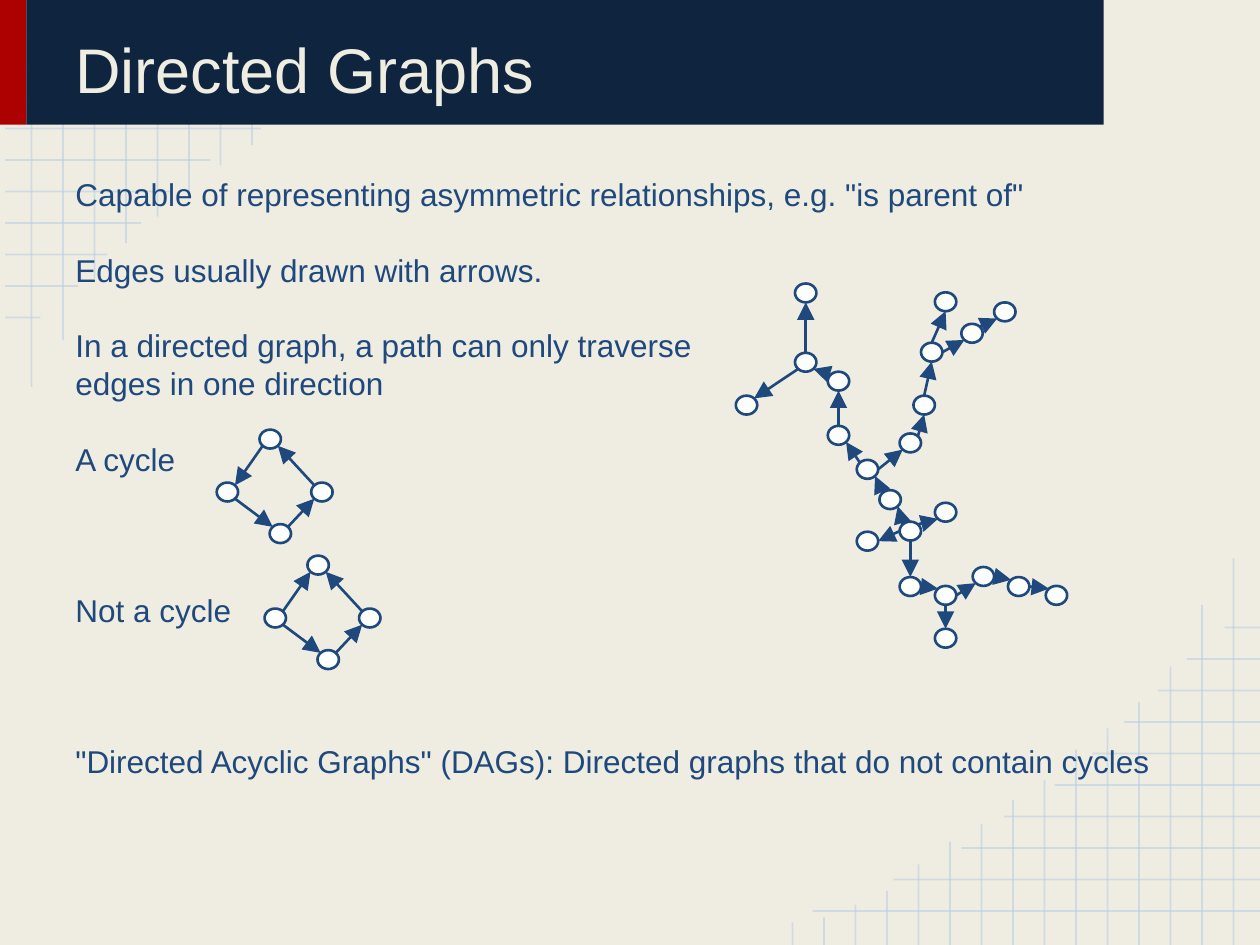
from lxml import etree
from pptx import Presentation
from pptx.dml.color import RGBColor
from pptx.enum import shapes, text
from pptx.oxml.ns import qn
from pptx.util import Inches, Pt

CREAM = RGBColor(0xEF, 0xED, 0xE2)
RED = RGBColor(0xAB, 0x01, 0x01)
NAVY = RGBColor(0x0F, 0x24, 0x3E)
BLUE = RGBColor(0x1F, 0x49, 0x7D)
PALE_BLUE = RGBColor(0xB7, 0xCC, 0xE4)
WHITE = RGBColor(0xFD, 0xFF, 0xFF)

TITLE = "Directed Graphs"
LINE_PITCH = 21.6
# (empty lines above, text)
BODY = [
    (0, 'Capable of representing asymmetric relationships, e.g. "is parent of"'),
    (1, "Edges usually drawn with arrows."),
    (1, "In a directed graph, a path can only traverse"),
    (0, "edges in one direction"),
    (1, "A cycle"),
    (3, "Not a cycle"),
    (3, '"Directed Acyclic Graphs" (DAGs): Directed graphs that do not contain cycles'),
]

# Corner grid: far ends of the lines, which are spaced by GRID_STEP
GRID_STEP = 0.25
ROW_ENDS = [3.59, 2.95, 2.41, 2.07, 1.67, 1.37, 1.12, 0.85, 0.62, 0.32]
COLUMN_ENDS = [3.07, 2.7, 2.21, 1.93, 1.72, 1.55, 1.31, 1.15,
               0.96, 0.82, 0.64, 0.43, 0.32, 0.22, 0.18]

# Node name: left, top
TREE = {
    "a": (6.31, 2.8), "b": (5.84, 3.14), "c": (6.31, 2.25), "d": (6.57, 2.95),
    "e": (6.57, 3.38), "f": (6.8, 3.65), "g": (7.14, 3.44), "h": (7.25, 3.14),
    "i": (7.31, 2.72), "j": (7.63, 2.57), "k": (7.89, 2.4), "l": (7.42, 2.32),
    "m": (6.98, 3.89), "n": (7.14, 4.14), "o": (7.42, 3.99), "p": (6.8, 4.22),
    "q": (7.14, 4.58), "r": (7.42, 4.65), "s": (7.72, 4.5), "t": (8, 4.58),
    "u": (8.3, 4.65), "v": (7.42, 4.99),
}
# Start node, side it leaves, end node, side it enters
TREE_EDGES = [
    "a N c S", "a SW b NE", "d NW a SE", "e N d S", "f NW e SE", "g NE h S",
    "h N i S", "i N l S", "i E j SW", "j NE k SW", "m NW f SE", "n NW m SE",
    "n NE o SW", "n W p E", "q E r NW", "r S v N", "r E s SW", "s E t NW",
    "t E u NW", "n S q N", "f E g SW",
]
RING = {"left": (1.72, 3.83), "bottom": (2.14, 4.16),
        "top": (2.06, 3.41), "right": (2.47, 3.83)}
RING_EDGES = ["left SE bottom NW", "bottom NE right SW", "right NW top SE"]
CLOSING_EDGE, REVERSED_EDGE = "top SW left NE", "left NE top SW"
SECOND_RING_SHIFT = (0.38, 1)

NODE_W, NODE_H = 0.17, 0.15
DIAGONAL = 0.71
SIDES = {"N": (0, -1), "S": (0, 1), "W": (-1, 0), "E": (1, 0)}
for ns in "NS":
    for we in "WE":
        SIDES[ns + we] = (SIDES[we][0] * DIAGONAL, SIDES[ns][1] * DIAGONAL)


def add_line(s, start, end, color, width):
    c = s.shapes.add_connector(shapes.MSO_CONNECTOR.STRAIGHT,
                               *(Inches(v) for v in (*start, *end)))
    c.line.color.rgb = color
    c.line.width = Pt(width)
    etree.SubElement(c._element.spPr, qn("a:effectLst"))
    return c


def add_filled(s, kind, left, top, width, height, fill):
    sp = s.shapes.add_shape(kind, *(Inches(v) for v in (left, top, width, height)))
    sp.shadow.inherit = False
    sp.fill.solid()
    sp.fill.fore_color.rgb = fill
    sp.line.fill.background()
    return sp


def add_grid_line(s, start, end):
    c = add_line(s, start, end, PALE_BLUE, 1)
    rgb = c.line._ln.find(".//" + qn("a:srgbClr"))
    etree.SubElement(rgb, qn("a:alpha"), val="54000")


def add_corner_grids(s):
    """Draw the top-left grid and the same grid turned into the bottom-right."""
    lines = []
    for i, x in enumerate(ROW_ENDS):
        y = 0.27 + i * GRID_STEP
        lines.append(((0.04, y), (x, y)))
    for i, y in enumerate(COLUMN_ENDS):
        x = 0.25 + i * GRID_STEP
        lines.append(((x, y), (x, 0)))
    for start, end in lines:
        add_grid_line(s, start, end)
    for line in lines:
        add_grid_line(s, *((10.04 - x, 7.5 - y) for x, y in line))


def add_graph(s, nodes, edges, shift=(0, 0)):
    places = {n: (x + shift[0], y + shift[1]) for n, (x, y) in nodes.items()}

    def side_point(node, side):
        (x, y), (dx, dy) = places[node], SIDES[side]
        return x + NODE_W / 2 * (1 + dx), y + NODE_H / 2 * (1 + dy)

    for x, y in places.values():
        sp = add_filled(s, shapes.MSO_SHAPE.OVAL, x, y, NODE_W, NODE_H, WHITE)
        sp.line.color.rgb = BLUE
        sp.line.width = Pt(1.5)
    for edge in edges:
        tail, out_side, head, in_side = edge.split()
        c = add_line(s, side_point(tail, out_side), side_point(head, in_side), BLUE, 1.5)
        etree.SubElement(c.line._ln, qn("a:tailEnd"), type="triangle", w="lg", len="lg")


def add_text(s, left, top, width, height, paragraphs, size, color,
             anchor=text.MSO_ANCHOR.TOP, pitch=None):
    tf = s.shapes.add_textbox(*(Inches(v) for v in (left, top, width, height))).text_frame
    tf.word_wrap = True
    tf.vertical_anchor = anchor
    tf.margin_left = tf.margin_right = tf.margin_top = tf.margin_bottom = Inches(0.1)
    for i, (gap, words) in enumerate(paragraphs):
        p = tf.add_paragraph() if i else tf.paragraphs[0]
        p.text = words
        p.font.name, p.font.size, p.font.color.rgb = "Arial", Pt(size), color
        if pitch:
            p.line_spacing = Pt(pitch)
            p.space_before = Pt(gap * pitch)


def main():
    prs = Presentation()
    prs.slide_width, prs.slide_height = Inches(10), Inches(7.5)
    s = prs.slides.add_slide(prs.slide_layouts[6])
    s.background.fill.solid()
    s.background.fill.fore_color.rgb = CREAM

    add_corner_grids(s)
    add_filled(s, shapes.MSO_SHAPE.RECTANGLE, 0, -0.01, 0.21, 1, RED)
    add_filled(s, shapes.MSO_SHAPE.RECTANGLE, 0.21, -0.01, 8.55, 1, NAVY)
    add_text(s, 0.5, 0.15, 8, 0.79, [(0, TITLE)], 36, CREAM, text.MSO_ANCHOR.BOTTOM)
    add_text(s, 0.5, 1.29, 9, 5.54, BODY, 18, BLUE, pitch=LINE_PITCH)

    add_graph(s, TREE, TREE_EDGES)
    add_graph(s, RING, RING_EDGES + [CLOSING_EDGE])
    add_graph(s, RING, RING_EDGES + [REVERSED_EDGE], SECOND_RING_SHIFT)
    prs.save("out.pptx")


if __name__ == "__main__":
    main()
